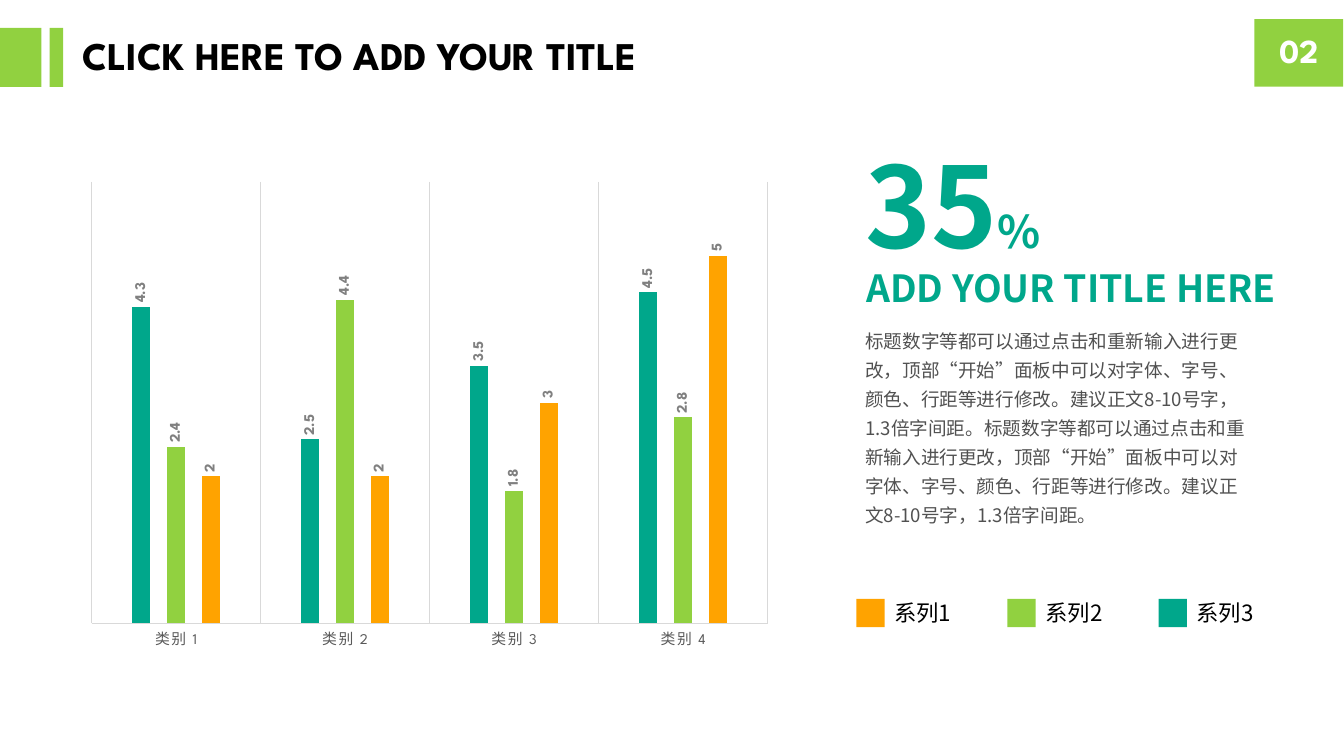
from lxml import etree
from pptx import Presentation
from pptx.chart.data import CategoryChartData
from pptx.dml.color import RGBColor
from pptx.enum.chart import XL_CHART_TYPE, XL_LABEL_POSITION, XL_TICK_MARK
from pptx.enum.shapes import MSO_SHAPE
from pptx.enum.text import MSO_ANCHOR, PP_ALIGN
from pptx.oxml.ns import qn
from pptx.util import Pt

RECT = MSO_SHAPE.RECTANGLE
TOP, MIDDLE = MSO_ANCHOR.TOP, MSO_ANCHOR.MIDDLE
LEFT, CENTER = PP_ALIGN.LEFT, PP_ALIGN.CENTER
COLUMN = XL_CHART_TYPE.COLUMN_CLUSTERED
OUTSIDE = XL_LABEL_POSITION.OUTSIDE_END
NONE = XL_TICK_MARK.NONE

COLORS = {
    "teal": "00A78B", "green": "91D140", "orange": "FFA300",
    "white": "FFFFFF", "black": "000000", "body": "515151",
    "axis": "595959", "label": "808080", "grid": "D9D9D9",
}
HEAD, SANS = "League Spartan", "Noto Sans CJK SC"


def block(box, color):
    """Draw a plain filled rectangle at box, given in points."""
    shape = slide.shapes.add_shape(RECT, *map(Pt, box))
    shape.shadow.inherit = False
    shape.fill.solid()
    shape.fill.fore_color.rgb = RGBColor.from_string(COLORS[color])
    shape.line.fill.background()
    return shape


def write(box, runs, font, color, bold=False, wrap=True, anchor=TOP,
          align=LEFT, space=1.0):
    """Add a text box of one paragraph; runs are (text, size) pairs."""
    frame = slide.shapes.add_textbox(*map(Pt, box)).text_frame
    frame.word_wrap = wrap
    frame.vertical_anchor = anchor
    para = frame.paragraphs[0]
    para.alignment = align
    para.line_spacing = space
    for text, size in runs:
        run = para.add_run()
        run.text = text
        look = {"name": font, "size": Pt(size), "bold": bold}
        for key, value in look.items():
            setattr(run.font, key, value)
        run.font.color.rgb = RGBColor.from_string(COLORS[color])
        east = etree.SubElement(run.font._element, qn("a:ea"))
        east.set("typeface", font)


deck = Presentation()
deck.slide_width, deck.slide_height = Pt(960.5), Pt(540)
slide = deck.slides.add_slide(deck.slide_layouts[6])

# Header
badge = (896.5, 13.7, 63.5, 48.2)
for box in (badge, (0, 20, 29.7, 42), (35.4, 20, 9.8, 42)):
    block(box, "green")
write(badge, [("02", 24)], HEAD, "white", bold=True, anchor=MIDDLE,
      align=CENTER, space=0.9)
write((51.8, 20, 448, 42), [("CLICK HERE TO ADD YOUR TITLE", 28)], HEAD,
      "black", bold=True, anchor=MIDDLE, space=0.9)

# Column chart
data = CategoryChartData()
data.categories = [f"类别 {n}" for n in range(1, 5)]
data.add_series("Series 1", (4.3, 2.5, 3.5, 4.5))
data.add_series("Series 2", (2.4, 4.4, 1.8, 2.8))
data.add_series("Series 3", (2, 2, 3, 5))
chart = slide.shapes.add_chart(
    COLUMN, *map(Pt, (55.4, 123.1, 503.3, 347)), data).chart
chart.has_legend = chart.has_title = False

plot = chart.plots[0]
plot.vary_by_categories = False
plot.gap_width, plot.overlap = 444, -90
for series, color in zip(plot.series, ("teal", "green", "orange")):
    series.format.fill.solid()
    series.format.fill.fore_color.rgb = RGBColor.from_string(COLORS[color])

plot.has_data_labels = True
labels = plot.data_labels
labels.show_value = True
labels.position = OUTSIDE

cats, vals = chart.category_axis, chart.value_axis
vals.visible = vals.has_major_gridlines = False
vals.minimum_scale, vals.maximum_scale = 0, 6
cats.major_tick_mark = cats.minor_tick_mark = NONE
cats.has_major_gridlines = True
for line in (cats.format.line, cats.major_gridlines.format.line):
    line.color.rgb = RGBColor.from_string(COLORS["grid"])
    line.width = Pt(0.75)

for font, size, color, bold in (
    (chart.font, 10, "black", False),
    (cats.tick_labels.font, 10.6, "axis", False),
    (labels.font, 10.6, "label", True),
):
    for key, value in {"name": HEAD, "size": Pt(size), "bold": bold}.items():
        setattr(font, key, value)
    font.color.rgb = RGBColor.from_string(COLORS[color])

# Upright value labels and wide category lettering
turn = labels._element.find(".//" + qn("a:bodyPr"))
turn.set("rot", "-5400000")
turn.set("vert", "horz")
cats._element.find(".//" + qn("a:defRPr")).set("spc", "120")

# Key figure and text
write((611.3, 94.3, 144, 104.4), [("35", 80), ("%", 32)], SANS, "teal",
      bold=True, wrap=False)
write((612, 185.8, 324.7, 39.6), [("ADD YOUR TITLE HERE", 26.7)], SANS,
      "teal", bold=True, wrap=False)
body = (
    "标题数字等都可以通过点击和重新输入进行更改，顶部“开始”面板中可以对字体、"
    "字号、颜色、行距等进行修改。建议正文8-10号字，1.3倍字间距。"
)
write((611.3, 227.5, 293, 154), [(body * 2, 13.3)], SANS, "body", space=1.3)

# Legend
for i, color in enumerate(("orange", "green", "teal")):
    x = 612 + 108 * i
    block((x, 427.7, 20.2, 20.2), color)
    write((x + 20, 424.1, 67.7, 26.6), [(f"系列{i + 1}", 16)], SANS, "black",
          anchor=MIDDLE)

deck.save("out.pptx")
